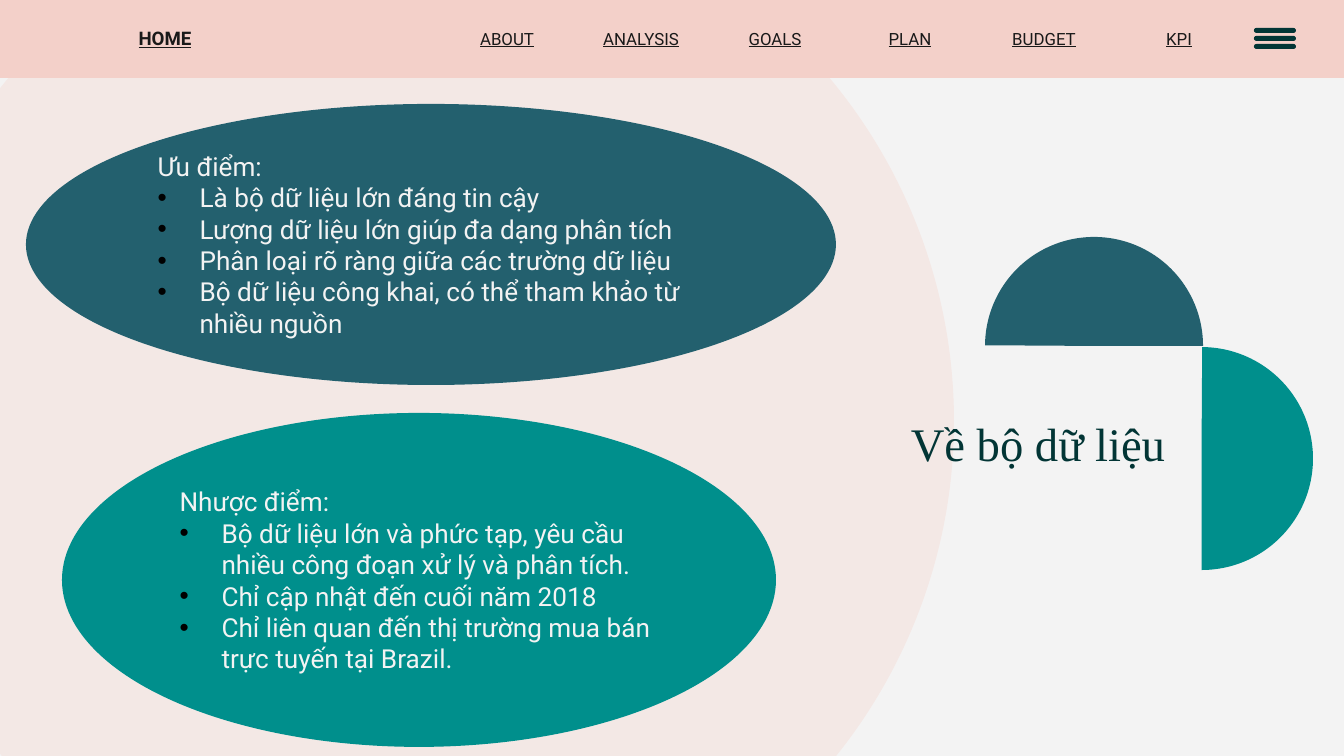
from lxml import etree
from pptx import Presentation
from pptx.dml.color import RGBColor
from pptx.enum.shapes import MSO_SHAPE as SHAPE
from pptx.enum.text import MSO_ANCHOR as ANCHOR, PP_ALIGN as ALIGN
from pptx.oxml.ns import qn
from pptx.util import Pt

EMU_PER_PX = 9144000 / 1344
COLORS = {
    "paper": "F3F3F3", "blush": "F3E8E5", "pink": "F3D0C9", "navy": "23606E",
    "teal": "008F8C", "dark": "023535", "ink": "191919", "black": "000000",
}


def add_shape(shapes, kind, box, color):
    sp = shapes.add_shape(kind, *[round(v * EMU_PER_PX) for v in box])
    sp.shadow.inherit = False
    sp.fill.solid()
    sp.fill.fore_color.rgb = RGBColor.from_string(COLORS[color])
    sp.line.fill.background()
    return sp


def write(text, box=None, sp=None, size=9, color="ink", font="Roboto", bold=False,
          underline=False, align=ALIGN.CENTER, insets=(13, 7, 13, 7), bullets=()):
    sp = sp or s.shapes.add_textbox(*[round(v * EMU_PER_PX) for v in box])
    tf = sp.text_frame
    tf.word_wrap = True
    tf.vertical_anchor = ANCHOR.MIDDLE
    tf.margin_left, tf.margin_top, tf.margin_right, tf.margin_bottom = [
        round(v * EMU_PER_PX) for v in insets]
    for i, line in enumerate([text, *bullets]):
        p = tf.add_paragraph() if i else tf.paragraphs[0]
        p.alignment = align
        if i:
            pPr = p._p.get_or_add_pPr()
            indent = round(42 * EMU_PER_PX)
            pPr.set("marL", str(indent))
            pPr.set("indent", str(-indent))
            clr = etree.SubElement(pPr, qn("a:buClr"))
            etree.SubElement(clr, qn("a:srgbClr"), val=COLORS["black"])
            etree.SubElement(pPr, qn("a:buFont"), typeface="Arial")
            etree.SubElement(pPr, qn("a:buChar"), char="•")
        r = p.add_run()
        r.text = line
        r.font.name = font
        r.font.size = Pt(size)
        r.font.bold = bold
        r.font.underline = underline
        r.font.color.rgb = RGBColor.from_string(COLORS[color])


prs = Presentation()
prs.slide_width = round(1344 * EMU_PER_PX)
prs.slide_height = round(756 * EMU_PER_PX)
s = prs.slides.add_slide(prs.slide_layouts[6])
s.background.fill.solid()
s.background.fill.fore_color.rgb = RGBColor.from_string(COLORS["paper"])

add_shape(s.shapes, SHAPE.OVAL, (-116, -114, 1070, 1070), "blush")
for box, rotation, color in [((985, 237, 218, 218), 90, "navy"),
                             ((1090, 347, 223, 223), 180, "teal")]:
    half = add_shape(s.shapes, SHAPE.PIE, box, color)
    half.rotation = rotation
    half.adjustments[0] = 54.21
    half.adjustments[1] = 162
add_shape(s.shapes, SHAPE.RECTANGLE, (0, 0, 1344, 78), "pink")

nav_insets = (0, 13, 0, 13)
write("HOME", (105, 27, 120, 23), size=10, bold=True, underline=True, insets=nav_insets)
for i, label in enumerate(["ABOUT", "ANALYSIS", "GOALS", "PLAN", "BUDGET", "KPI"]):
    write(label, (447 + i * 672 // 5, 27, 120, 23), underline=True, insets=nav_insets)

menu = s.shapes.add_group_shape()
for i in range(3):
    bar = add_shape(menu.shapes, SHAPE.ROUNDED_RECTANGLE, (1254, 28 + 8 * i, 42, 5), "dark")
    bar.adjustments[0] = 0.5

write("Về bộ dữ liệu", (868, 331, 353, 223), size=25, color="dark",
      font="Times New Roman", insets=(0, 13, 13, 13))

panels = [
    ((26, 104, 810, 281), "navy", "Ưu điểm:", [
        "Là bộ dữ liệu lớn đáng tin cậy",
        "Lượng dữ liệu lớn giúp đa dạng phân tích",
        "Phân loại rõ ràng giữa các trường dữ liệu",
        "Bộ dữ liệu công khai, có thể tham khảo từ nhiều nguồn",
    ]),
    ((62, 413, 714, 334), "teal", "Nhược điểm:", [
        "Bộ dữ liệu lớn và phức tạp, yêu cầu nhiều công đoạn xử lý và phân tích.",
        "Chỉ cập nhật đến cuối năm 2018",
        "Chỉ liên quan đến thị trường mua bán trực tuyến tại Brazil.",
    ]),
]
for box, color, heading, bullets in panels:
    sp = add_shape(s.shapes, SHAPE.OVAL, box, color)
    write(heading, sp=sp, size=14, color="paper", align=ALIGN.LEFT, bullets=bullets)

prs.save("out.pptx")
